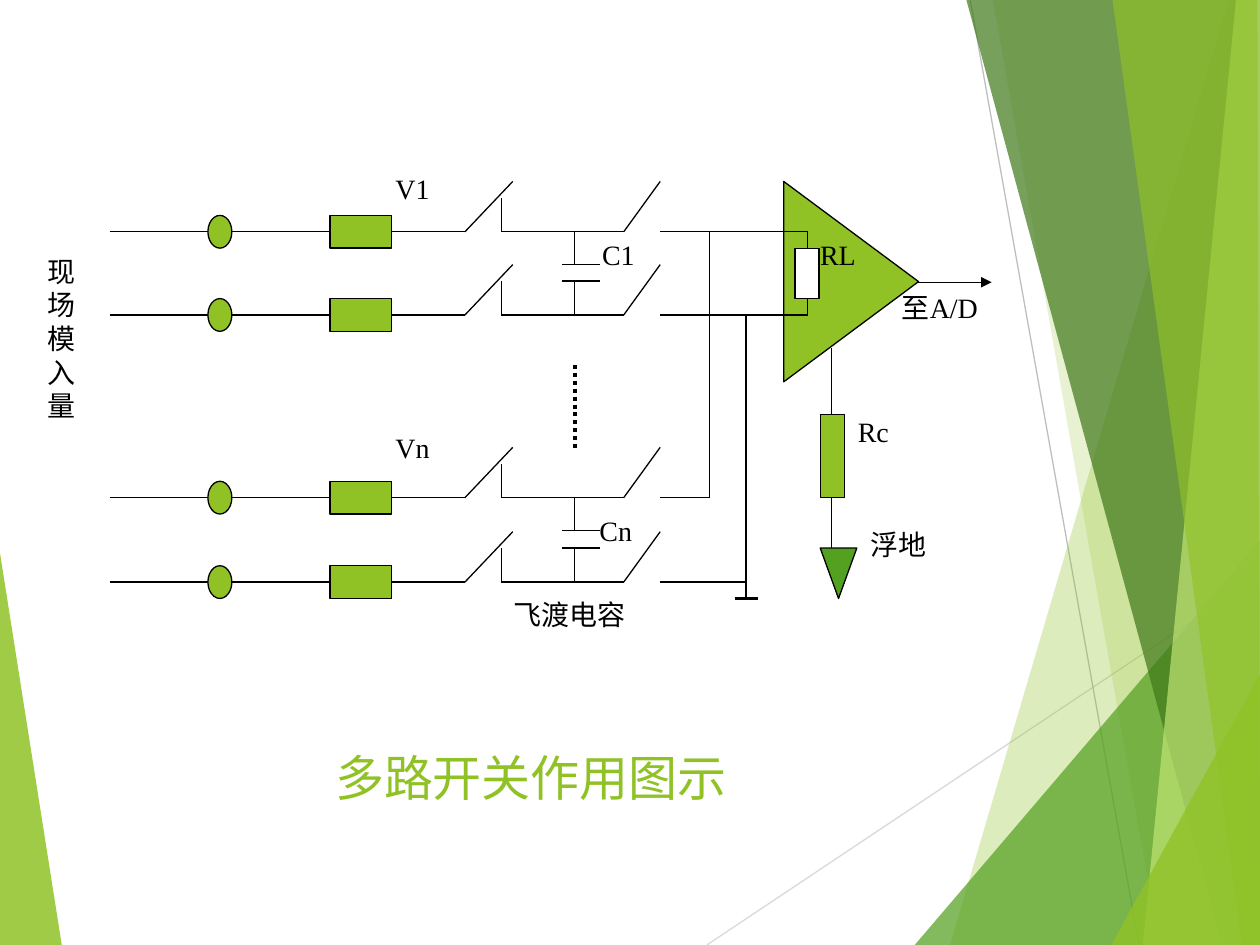
from lxml.etree import SubElement
from pptx import Presentation
from pptx.dml.color import RGBColor
from pptx.enum.dml import MSO_LINE
from pptx.enum.shapes import MSO_CONNECTOR, MSO_SHAPE
from pptx.enum.text import MSO_ANCHOR, MSO_AUTO_SIZE, PP_ALIGN
from pptx.oxml.ns import qn
from pptx.util import Inches, Pt

COLORS = {
    "black": "000000", "white": "FFFFFF", "lime": "90C226", "green": "54A021",
    "dark": "3F7819", "pale": "C0E474", "gray": "BFBFBF", "light": "D9D9D9",
}


def rgb(name):
    return RGBColor.from_string(COLORS[name])


class Diagram:
    title_font, label_font = "Karla", "Times New Roman"
    title_size, label_size = 28, 16
    thin, thick = 0.75, 2.25

    def __init__(self, slide):
        self.s = slide

    def run(self, p, text, font, size, color):
        r = p.add_run()
        r.text = text
        r.font.name, r.font.size = font, Pt(size)
        r.font.color.rgb = rgb(color)

    def title(self, text, x, y, w, h):
        sp = self.s.shapes.title
        sp.left, sp.top, sp.width, sp.height = map(Inches, (x, y, w, h))
        tf = sp.text_frame
        tf.auto_size = MSO_AUTO_SIZE.NONE
        tf.vertical_anchor = MSO_ANCHOR.TOP
        p = tf.paragraphs[0]
        p.alignment = PP_ALIGN.LEFT
        self.run(p, text, self.title_font, self.title_size, "lime")

    def label(self, lines, x, y, w, h=0.37):
        tf = self.s.shapes.add_textbox(*map(Inches, (x, y, w, h))).text_frame
        tf.word_wrap = True
        tf.auto_size = MSO_AUTO_SIZE.NONE
        tf.margin_right = 0  # slack that keeps each line whole
        for i, line in enumerate(lines):
            p = tf.add_paragraph() if i else tf.paragraphs[0]
            self.run(p, line, self.label_font, self.label_size, "black")

    def line(self, x1, y1, x2, y2, color="black", width=thin, dash=None, arrow=False):
        c = self.s.shapes.add_connector(
            MSO_CONNECTOR.STRAIGHT, *map(Inches, (x1, y1, x2, y2)))
        c.line.color.rgb = rgb(color)
        c.line.width = Pt(width)
        if dash:
            c.line.dash_style = dash
        if arrow:
            SubElement(c.line._get_or_add_ln(), qn("a:tailEnd"), type="triangle")
        SubElement(c._element.spPr, qn("a:effectLst"))

    def shape(self, kind, x, y, w, h, fill="lime", rotation=0):
        sp = self.s.shapes.add_shape(kind, *map(Inches, (x, y, w, h)))
        sp.shadow.inherit = False
        sp.rotation = rotation
        sp.fill.solid()
        sp.fill.fore_color.rgb = rgb(fill)
        sp.line.color.rgb = rgb("black")
        sp.line.width = Pt(self.thin)

    def facet(self, points, fill, opacity):
        start, *rest = [(Inches(x), Inches(y)) for x, y in points]
        fb = self.s.shapes.build_freeform(*start)
        fb.add_line_segments(rest, close=True)
        sp = fb.convert_to_shape()
        sp.shadow.inherit = False
        sp.fill.solid()
        sp.fill.fore_color.rgb = rgb(fill)
        color = sp._element.spPr.find(qn("a:solidFill"))[0]
        SubElement(color, qn("a:alpha"), val=str(opacity * 1000))
        sp.line.fill.background()

    def channel(self, y):
        """One input wire: terminal, resistor and two switches."""
        self.line(0.87, y, 1.65, y)
        self.shape(MSO_SHAPE.OVAL, 1.65, y - 0.13, 0.19, 0.26)
        self.line(1.84, y, 2.62, y)
        self.shape(MSO_SHAPE.RECTANGLE, 2.62, y - 0.13, 0.49, 0.26)
        self.line(3.11, y, 3.69, y)
        self.line(3.69, y, 4.07, y - 0.4)
        self.line(3.98, y - 0.27, 3.98, y)
        self.line(3.98, y, 4.56, y)
        self.line(4.56, y, 4.95, y)
        self.line(4.95, y, 5.24, y - 0.4)
        self.line(5.24, y, 5.63, y)

    def capacitor(self, top, bottom):
        for y, plate in ((top, top + 0.26), (bottom, bottom - 0.27)):
            self.line(4.46, plate, 4.76, plate)
            self.line(4.56, y, 4.56, plate)


def main():
    prs = Presentation()
    prs.slide_width, prs.slide_height = Inches(10), Inches(7.5)
    d = Diagram(prs.slides.add_slide(prs.slide_layouts[5]))

    # Background facets
    d.facet([(0, 4.39), (0.49, 7.5), (0, 7.5)], "lime", 85)
    d.line(5.61, 7.5, 10, 4.57, "light")
    d.line(7.7, 0, 9.04, 7.5, "gray")
    right_facets = [
        ([(9.75, 0), (7.54, 7.5), (10, 7.5), (10, 0)], "lime", 30),
        ([(7.88, 0), (9.2, 7.5), (10, 7.5), (10, 0)], "lime", 20),
        ([(7.26, 7.5), (10, 4.29), (10, 7.5)], "green", 72),
        ([(7.67, 0), (9.7, 7.5), (10, 7.5), (10, 0)], "dark", 70),
        ([(9.81, 0), (9.07, 7.5), (10, 7.5), (10, 0)], "pale", 70),
        ([(8.83, 0), (9.86, 7.5), (10, 7.5), (9.98, 0)], "lime", 65),
        ([(8.82, 7.5), (10, 5.35), (10, 7.5)], "lime", 80),
    ]
    for points, fill, opacity in right_facets:
        d.facet(points, fill, opacity)

    d.title("多路开关作用图示", 2.56, 5.88, 3.47, 0.71)

    # Input channels, in pairs joined by a flying capacitor
    for top, bottom in ((1.84, 2.5), (3.95, 4.62)):
        d.channel(top)
        d.channel(bottom)
        d.capacitor(top, bottom)
    d.line(4.56, 2.9, 4.56, 3.56, width=d.thick, dash=MSO_LINE.ROUND_DOT)

    # Amplifier, bus wires and ground
    d.shape(MSO_SHAPE.FLOWCHART_EXTRACT, 5.96, 1.7, 1.59, 1.07, rotation=90)
    for y in (1.84, 2.5):
        d.line(5.63, y, 6.21, y)
        d.line(6.21, y, 6.41, y)
    d.line(5.63, 3.95, 5.63, 1.84)
    d.line(5.63, 4.62, 5.92, 4.62)
    d.line(5.92, 4.75, 5.92, 2.5)
    d.line(5.83, 4.75, 6.02, 4.75, width=d.thick)
    d.line(7.28, 2.24, 7.87, 2.24, arrow=True)

    # Load resistor
    d.shape(MSO_SHAPE.RECTANGLE, 6.31, 1.97, 0.19, 0.4, "white")
    d.line(6.41, 1.84, 6.41, 1.97)
    d.line(6.41, 2.5, 6.41, 2.37)

    # Resistor to floating ground
    d.line(6.6, 3.29, 6.6, 2.76)
    d.shape(MSO_SHAPE.RECTANGLE, 6.51, 3.29, 0.19, 0.66)
    d.line(6.6, 3.95, 6.6, 4.35)
    d.shape(MSO_SHAPE.ISOSCELES_TRIANGLE, 6.51, 4.35, 0.29, 0.4, "green", 180)

    # Labels
    for text, x, y, w in (
        ("V1", 3.04, 1.31, 0.47), ("Vn", 3.04, 3.37, 0.47),
        ("C1", 4.68, 1.84, 0.47), ("Cn", 4.66, 4.03, 0.46),
        ("RL", 6.41, 1.84, 0.48), ("Rc", 6.71, 3.24, 0.44),
        ("浮地", 6.81, 4.14, 0.64), ("飞渡电容", 3.98, 4.69, 1.08),
        ("至A/D", 7.06, 2.26, 0.85),
    ):
        d.label([text], x, y, w)
    d.label("现场模入量", 0.28, 1.97, 0.42, 1.44)

    prs.save("out.pptx")


if __name__ == "__main__":
    main()
